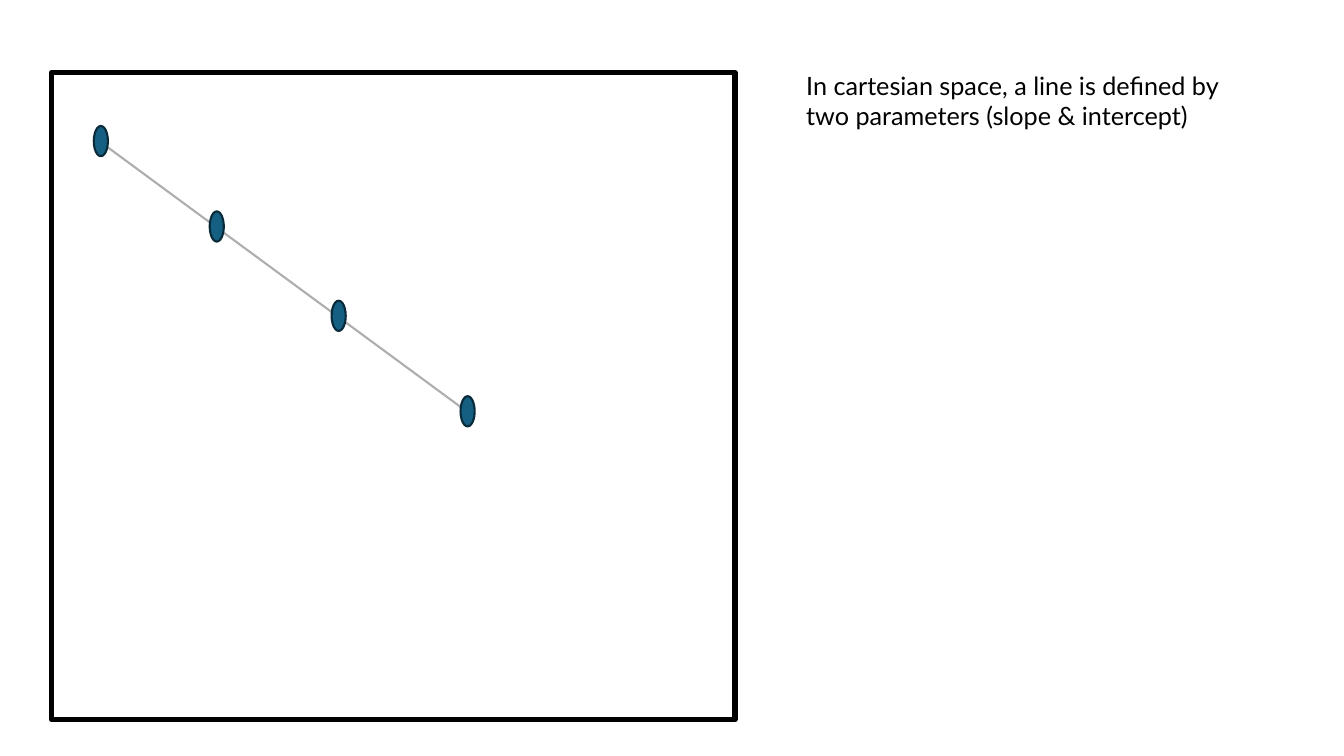
"""Build a slide showing four points on a line in cartesian space."""
from typing import NamedTuple

from lxml import etree
from pptx import Presentation
from pptx import util as u
from pptx.dml.color import RGBColor
from pptx.enum import shapes, text
from pptx.oxml.ns import qn
from pptx.slide import Slide

BLACK = RGBColor(0x00, 0x00, 0x00)
GREY = RGBColor(0xAE, 0xAE, 0xAE)
TEAL = RGBColor(0x15, 0x60, 0x82)
DARK_TEAL = RGBColor(0x09, 0x2A, 0x39)

POINT_WIDTH = 10.1
POINT_HEIGHT = 21.6


class Point(NamedTuple):
    left: float
    top: float


POINTS = (
    Point(67, 90),
    Point(149.8, 151),
    Point(236.9, 214.8),
    Point(329, 283),
)


def draw_space(slide: Slide) -> None:
    space = slide.shapes.add_shape(
        shapes.MSO_SHAPE.RECTANGLE, u.Pt(36.7), u.Pt(51.8), u.Pt(488.2), u.Pt(462.2)
    )
    space.shadow.inherit = False
    space.fill.background()
    space.line.color.rgb = BLACK
    space.line.width = u.Pt(4)


def draw_fitted_line(slide: Slide) -> None:
    fitted_line = slide.shapes.add_connector(
        shapes.MSO_CONNECTOR.STRAIGHT, u.Pt(67), u.Pt(97.9), u.Pt(339.1), u.Pt(298.1)
    )
    fitted_line.line.color.rgb = GREY
    fitted_line.line.width = u.Pt(1.5)
    etree.SubElement(fitted_line._element.spPr, qn("a:effectLst"))


def draw_point(slide: Slide, point: Point) -> None:
    marker = slide.shapes.add_shape(
        shapes.MSO_SHAPE.OVAL,
        u.Pt(point.left),
        u.Pt(point.top),
        u.Pt(POINT_WIDTH),
        u.Pt(POINT_HEIGHT),
    )
    marker.shadow.inherit = False
    marker.fill.solid()
    marker.fill.fore_color.rgb = TEAL
    marker.line.color.rgb = DARK_TEAL
    marker.line.width = u.Pt(1.5)


def write_explanation(slide: Slide) -> None:
    explanation = slide.shapes.add_textbox(
        u.Pt(568.8), u.Pt(46.8), u.Pt(334.8), u.Pt(51.1)
    ).text_frame
    explanation.word_wrap = True
    explanation.auto_size = text.MSO_AUTO_SIZE.SHAPE_TO_FIT_TEXT
    sentence = explanation.paragraphs[0]
    sentence.text = (
        "In cartesian space, a line is defined by two parameters (slope & intercept)"
    )
    sentence.font.name = "Lato"
    sentence.font.size = u.Pt(18)
    sentence.font.color.rgb = BLACK


def main() -> None:
    deck = Presentation()
    deck.slide_width = u.Pt(960)
    deck.slide_height = u.Pt(540)
    slide = deck.slides.add_slide(deck.slide_layouts.get_by_name("Blank"))
    draw_space(slide)
    draw_fitted_line(slide)
    for point in POINTS:
        draw_point(slide, point)
    write_explanation(slide)
    deck.save("out.pptx")


if __name__ == "__main__":
    main()
